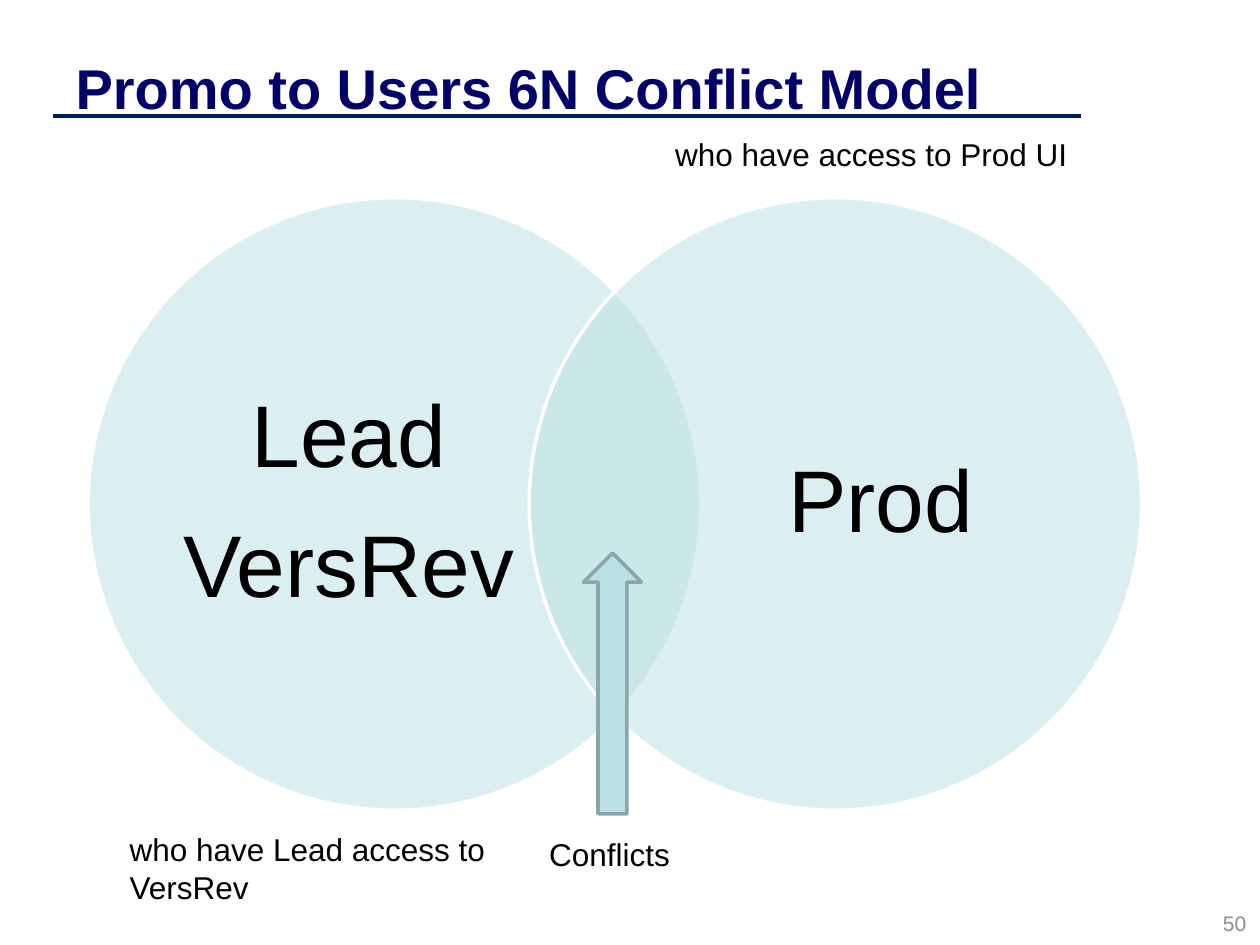
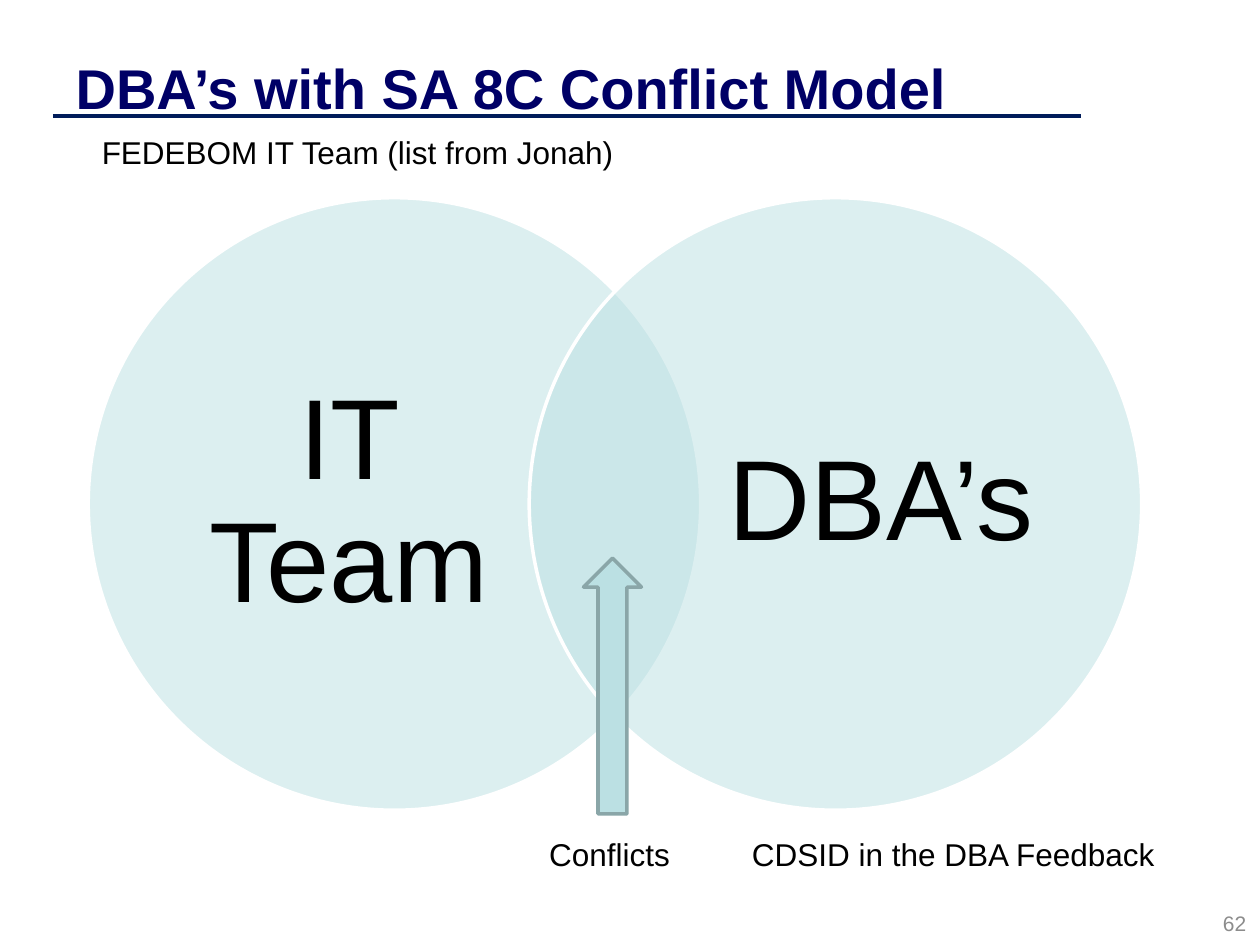
from lxml import etree
from pptx import Presentation
from pptx.dml.color import RGBColor
from pptx.enum.shapes import MSO_CONNECTOR, MSO_SHAPE
from pptx.enum.text import MSO_ANCHOR, MSO_AUTO_SIZE, PP_ALIGN
from pptx.oxml.ns import qn
from pptx.util import Pt

STRAIGHT = MSO_CONNECTOR.STRAIGHT
OVAL, DOWN_ARROW = MSO_SHAPE.OVAL, MSO_SHAPE.DOWN_ARROW
MIDDLE, TOP = MSO_ANCHOR.MIDDLE, MSO_ANCHOR.TOP
LEFT, CENTER, RIGHT = PP_ALIGN.LEFT, PP_ALIGN.CENTER, PP_ALIGN.RIGHT
FIT_SHAPE, NO_FIT = MSO_AUTO_SIZE.SHAPE_TO_FIT_TEXT, MSO_AUTO_SIZE.NONE

FONT = "Arial"
TITLE_BLUE, RULE_BLUE = "000066", "001C5A"
AQUA, AQUA_EDGE = "BBE0E3", "8AA6A8"
BLACK, WHITE, GREY = "000000", "FFFFFF", "8C8C8C"

TITLE_BOX = (36, 21.6, 576, 56.2)
RULE_BOX = (30.2, 66.2, 587.5, 0)
VENN_BOX = (50.4, 113, 602, 350)
NUMBER_BOX = (551.5, 515.5, 167.8, 24.5)
CONFLICTS_BOX = (306.7, 473.8, 85, 29)
ARROW_CENTER, ARROW_BOTTOM, ARROW_WIDTH = 350, 465.1, 33.1

SLIDES = [
    {
        "title": "Promo to Users 6N Conflict Model",
        "sets": [["Lead", "VersRev"], ["Prod"]],
        "size": 50,
        "arrow_height": 149,
        "notes": [
            ("who have Lead access to VersRev", (67, 470.9, 283.7, 51)),
            ("who have access to Prod UI", (378.7, 73.4, 277.2, 29)),
        ],
        "number": "50",
    },
    {
        "title": "DBA’s with SA 8C Conflict Model",
        "sets": [["IT Team"], ["DBA’s"]],
        "size": 65,
        "arrow_height": 146.2,
        "notes": [
            ("CDSID in the DBA Feedback", (422.6, 473.8, 258.5, 29)),
            ("FEDEBOM IT Team (list from Jonah)", (51.1, 72.7, 314.6, 29)),
        ],
        "number": "62",
    },
]


def color(value):
    return RGBColor.from_string(value)


def points(*lengths):
    return [Pt(length) for length in lengths]


def style(para, size, shade=BLACK, align=LEFT, bold=False):
    para.alignment = align
    para.font.name = FONT
    para.font.size = Pt(size)
    para.font.bold = bold
    para.font.color.rgb = color(shade)


def add_label(shapes, box, lines, size, shade=BLACK, align=LEFT, anchor=TOP, fit=NO_FIT):
    label = shapes.add_textbox(*points(*box))
    frame = label.text_frame
    frame.word_wrap = True
    frame.auto_size = fit
    frame.vertical_anchor = anchor
    frame.text = "\n".join(lines)
    for para in frame.paragraphs:
        style(para, size, shade, align)
    return frame


def add_figure(shapes, preset, box, edge):
    figure = shapes.add_shape(preset, *points(*box))
    figure.shadow.inherit = False
    figure.fill.solid()
    figure.fill.fore_color.rgb = color(AQUA)
    figure.line.color.rgb = color(edge)
    figure.line.width = Pt(2)
    return figure


def add_header(page, text):
    left, top, width, height = RULE_BOX
    rule = page.shapes.add_connector(STRAIGHT, *points(left, top, left + width, top + height))
    rule.line.color.rgb = color(RULE_BLUE)
    rule.line.width = Pt(2)
    etree.SubElement(rule._element.spPr, qn("a:effectLst"))

    title = page.shapes.title
    title.left, title.top, title.width, title.height = points(*TITLE_BOX)
    frame = title.text_frame
    frame.text = text
    frame.word_wrap = True
    frame.auto_size = NO_FIT
    frame.vertical_anchor = MIDDLE
    style(frame.paragraphs[0], 32, TITLE_BLUE, bold=True)


def add_venn(page, box, sets, size):
    left, top, width, diameter = box
    text_width, text_height = 201.6, 267
    text_insets = (48.2, diameter - 48.2 - text_width)
    group = page.shapes.add_group_shape()
    for index, lines in enumerate(sets):
        circle_left = left + index * (width - diameter)
        circle_box = (circle_left, top, diameter, diameter)
        circle = add_figure(group.shapes, OVAL, circle_box, WHITE)
        fill_color = circle._element.spPr.find(qn("a:solidFill"))[0]
        etree.SubElement(fill_color, qn("a:alpha"), val="50000")

        text_box = (circle_left + text_insets[index], top + (diameter - text_height) / 2,
                    text_width, text_height)
        frame = add_label(group.shapes, text_box, lines, size, align=CENTER, anchor=MIDDLE)
        frame.margin_left = frame.margin_right = frame.margin_top = frame.margin_bottom = 0
        for para in frame.paragraphs:
            para.line_spacing = 0.9
            para.space_after = Pt(0.4 * size)


def add_conflict_arrow(page, height):
    box = (ARROW_CENTER - ARROW_WIDTH / 2, ARROW_BOTTOM - height, ARROW_WIDTH, height)
    arrow = add_figure(page.shapes, DOWN_ARROW, box, AQUA_EDGE)
    arrow.rotation = 180


def add_conflict_slide(deck, content):
    page = deck.slides.add_slide(deck.slide_layouts[5])
    add_header(page, content["title"])
    add_venn(page, VENN_BOX, content["sets"], content["size"])
    add_label(page.shapes, NUMBER_BOX, [content["number"]], 12, GREY, RIGHT, MIDDLE)
    add_conflict_arrow(page, content["arrow_height"])
    for text, box in [("Conflicts", CONFLICTS_BOX), *content["notes"]]:
        add_label(page.shapes, box, [text], 18, fit=FIT_SHAPE)


def main():
    deck = Presentation()
    deck.slide_width, deck.slide_height = points(720, 540)
    for content in SLIDES:
        add_conflict_slide(deck, content)
    deck.save("out.pptx")


if __name__ == "__main__":
    main()
